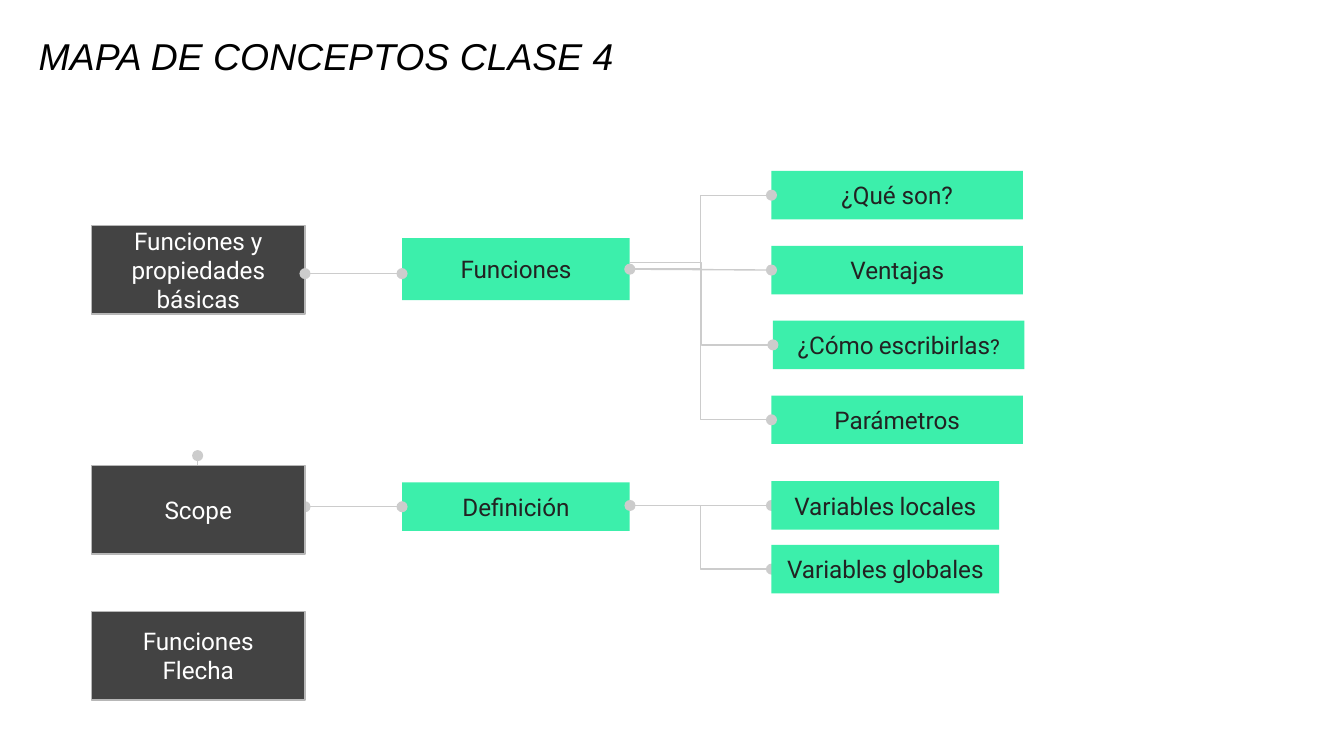
from dataclasses import dataclass
from typing import Any, Optional

import pptx
import pptx.dml.color
import pptx.enum.shapes
import pptx.enum.text
import pptx.oxml
import pptx.oxml.ns
import pptx.util

Pt = pptx.util.Pt
ALIGN = pptx.enum.text.PP_ALIGN
ANCHOR = pptx.enum.text.MSO_ANCHOR
CONNECTOR = pptx.enum.shapes.MSO_CONNECTOR

GREEN, DARK, INK, WHITE = "3CEFAB", "434343", "222222", "FFFFFF"
BORDER, LINK = "B7B7B7", "CCCCCC"
SMALL = 11
FRAME_FORMAT = {
    "word_wrap": True, "vertical_anchor": ANCHOR.MIDDLE,
    "margin_left": Pt(7.2), "margin_right": Pt(7.2),
    "margin_top": Pt(7.2), "margin_bottom": Pt(7.2),
}
BOX_FONT = {"name": "Roboto", "size": Pt(13)}


@dataclass
class Box:
    runs: tuple[str, ...]
    left: float
    top: float
    width: float
    height: float
    fill: str = GREEN
    small: str = " ?"  # runs set in the small size

    @property
    def name(self) -> str:
        return "".join(self.runs)


@dataclass
class Link:
    start: tuple[float, float]
    end: tuple[float, float]
    bent: bool = False
    source: Optional[str] = None
    target: Optional[str] = None


def color(value: str) -> pptx.dml.color.RGBColor:
    return pptx.dml.color.RGBColor.from_string(value)


def apply(target: Any, values: dict[str, Any]) -> None:
    for name, value in values.items():
        setattr(target, name, value)


def draw_box(slide: Any, box: Box) -> Any:
    shape = slide.shapes.add_shape(
        pptx.enum.shapes.MSO_SHAPE.RECTANGLE,
        Pt(box.left), Pt(box.top), Pt(box.width), Pt(box.height))
    shape.shadow.inherit = False
    shape.fill.solid()
    shape.fill.fore_color.rgb = color(box.fill)
    dark = box.fill == DARK
    if dark:
        shape.line.color.rgb = color(BORDER)
        shape.line.width = Pt(0.75)
    else:
        shape.line.fill.background()
    apply(shape.text_frame, FRAME_FORMAT)
    paragraph = shape.text_frame.paragraphs[0]
    paragraph.alignment = ALIGN.CENTER
    for text in box.runs:
        run = paragraph.add_run()
        run.text = text
        apply(run.font, BOX_FONT)
        if text in box.small:
            run.font.size = Pt(SMALL)
        run.font.color.rgb = color(WHITE if dark else INK)
    return shape


def draw_link(slide: Any, link: Link) -> Any:
    kind = CONNECTOR.ELBOW if link.bent else CONNECTOR.STRAIGHT
    points = [Pt(value) for value in link.start + link.end]
    connector = slide.shapes.add_connector(kind, *points)
    connector.line.color.rgb = color(LINK)
    connector.line.width = Pt(0.75)
    line = connector.line._get_or_add_ln()
    for tag in ("a:tailEnd",) if link.bent else ("a:headEnd", "a:tailEnd"):
        end = pptx.oxml.parse_xml(f"<{tag} {pptx.oxml.ns.nsdecls('a')} type='oval'/>")
        line.append(end)
    connector._element.spPr.append(
        pptx.oxml.parse_xml(f"<a:effectLst {pptx.oxml.ns.nsdecls('a')}/>"))
    return connector


def draw_title(slide: Any, text: str) -> None:
    shape = slide.shapes.add_textbox(Pt(13.7), Pt(15.8), Pt(594.7), Pt(33.1))
    apply(shape.text_frame, FRAME_FORMAT | {"vertical_anchor": ANCHOR.BOTTOM})
    run = shape.text_frame.paragraphs[0].add_run()
    run.text = text
    apply(run.font, {"name": "Arial", "size": Pt(20), "italic": True})
    run.font.color.rgb = color("000000")


def main() -> None:
    presentation = pptx.Presentation()
    presentation.slide_width, presentation.slide_height = Pt(720), Pt(405)
    slide = presentation.slides.add_slide(presentation.slide_layouts[6])
    draw_title(slide, "MAPA DE CONCEPTOS CLASE 4")

    # Columns and rows of the map
    topic_left, topic_right = 49, 163.4
    concept_left, concept_right = 215.4, 337.4
    detail_left, concept_width, row_height = 413.3, 122, 26
    branch_x, scope_y, split_y = 337.5, 271.5, 270.8
    detail_tops = [91.6 + 40.1 * row for row in range(4)]
    detail_middles = [top + row_height / 2 for top in detail_tops]
    functions_y = 144.2

    # Boxes
    definition = Box(("Definición",), concept_left, 258.5, concept_width, row_height)
    topics = [
        Box((text,), topic_left, top, topic_right - topic_left, 47.4, DARK)
        for text, top in (("Scope", 249.4), ("Funciones y propiedades básicas", 120.9),
                          ("Funciones Flecha", 327.6))
    ]
    variables = [
        Box(("Variables", " ", text), detail_left, top, concept_width, row_height)
        for text, top in (("locales", 257.8), ("globales", 291.9))
    ]
    functions = Box(("Funciones",), concept_left, 127.6, concept_width, 33.2)
    questions = (("¿Qué son?",), ("Ventajas",), ("¿Cómo", " ", "escribirlas", "?"),
                 ("Parámetros",))
    details = [
        Box(runs, detail_left + (0.8 if row == 2 else 0), top, 134.7, row_height)
        for row, (runs, top) in enumerate(zip(questions, detail_tops))
    ]

    # Links of each branch
    scope_links = [
        Link((105.9, 244.1), (105.9, 279.4)),
        Link((topic_right, scope_y), (concept_left, scope_y), target="Definición"),
        Link((branch_x, split_y), (detail_left, split_y), target="Variables locales"),
        Link((branch_x, split_y), (detail_left, 304.9), bent=True),
    ]
    function_links = [
        Link((topic_right, 146.6), (concept_left, 146.6)),
        Link((branch_x, 140.8), (detail_left + 0.8, detail_middles[2]), bent=True),
        Link((concept_right, functions_y), (detail_left, detail_middles[0]), bent=True),
        Link((concept_right, functions_y), (detail_left, detail_middles[1]),
             source="Funciones", target="Ventajas"),
        Link((concept_right, functions_y), (detail_left, detail_middles[3]), bent=True),
    ]

    # Back to front: the scope links lie under most boxes
    shapes = {definition.name: draw_box(slide, definition)}
    drawn = [(link, draw_link(slide, link)) for link in scope_links]
    for box in variables + topics + [functions] + details:
        shapes[box.name] = draw_box(slide, box)
    drawn += [(link, draw_link(slide, link)) for link in function_links]

    # Join the link ends that meet the middle of a side
    for link, connector in drawn:
        if link.source:
            connector.begin_connect(shapes[link.source], 3)
        if link.target:
            connector.end_connect(shapes[link.target], 1)

    presentation.save("out.pptx")


if __name__ == "__main__":
    main()
